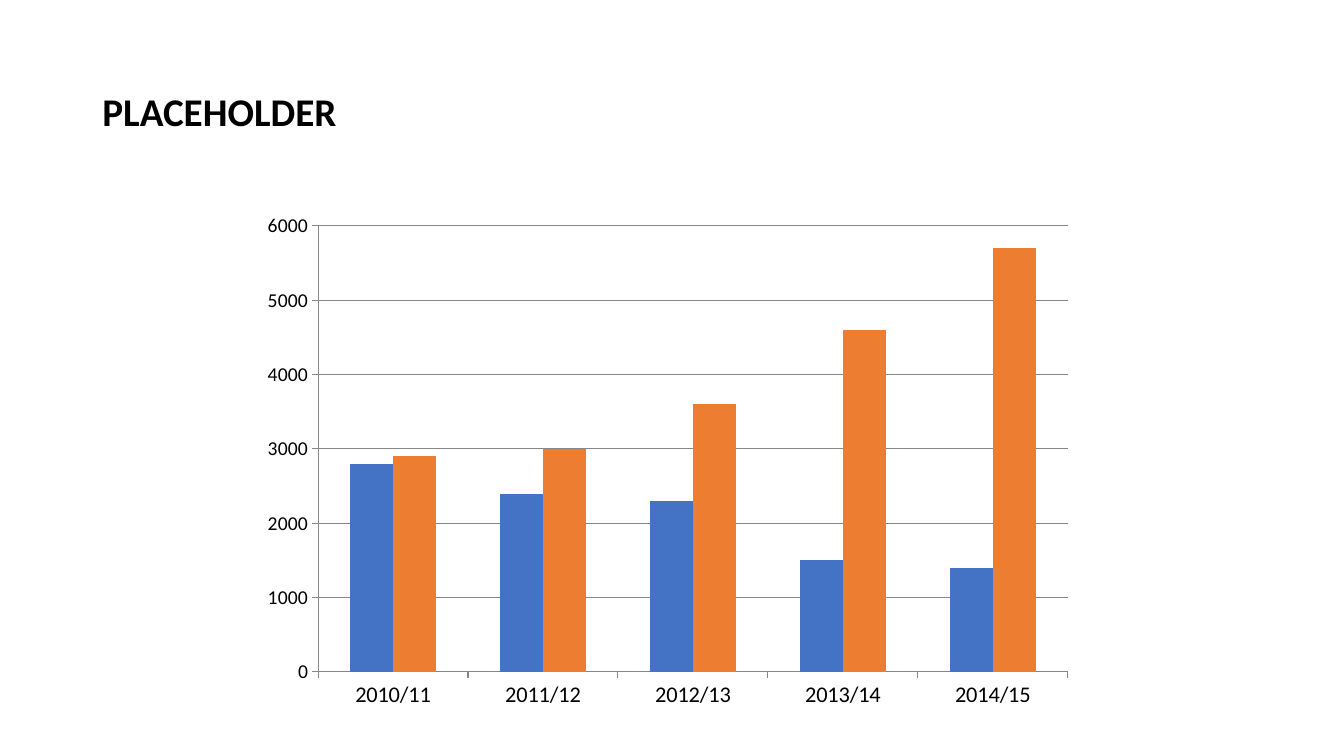
import pptx
import pptx.chart.data
import pptx.dml.color
import pptx.enum.chart
import pptx.enum.text
import pptx.util

Pt = pptx.util.Pt
RGBColor = pptx.dml.color.RGBColor

BLACK = RGBColor(0x00, 0x00, 0x00)
WHITE = RGBColor(0xFF, 0xFF, 0xFF)
GRAY = RGBColor(0x87, 0x87, 0x87)
BLUE = RGBColor(0x44, 0x72, 0xC4)
ORANGE = RGBColor(0xED, 0x7D, 0x31)
FONT = "Calibri"

TITLE = "PLACEHOLDER"
YEARS = ["2010/11", "2011/12", "2012/13", "2013/14", "2014/15"]
SERIES = [
    ("Series 1", BLUE, [2800, 2400, 2300, 1500, 1400]),
    ("Series 2", ORANGE, [2900, 3000, 3600, 4600, 5700]),
]
TITLE_BOX = (Pt(66), Pt(28.75), Pt(828), Pt(104.4))
CHART_BOX = (Pt(179.3), Pt(145.4), Pt(595.4), Pt(368.6))


def format_font(font, size, bold=False, color=BLACK):
    """Apply the slide's typeface with a size, weight and colour."""
    font.name = FONT
    font.size = Pt(size)
    font.bold = bold
    font.color.rgb = color


def write_text(shape, text, size, bold=False, color=BLACK, line_spacing=0.9):
    """Write one left-aligned, vertically centred paragraph into a shape."""
    frame = shape.text_frame
    frame.word_wrap = True
    frame.vertical_anchor = pptx.enum.text.MSO_ANCHOR.MIDDLE
    paragraph = frame.paragraphs[0]
    paragraph.alignment = pptx.enum.text.PP_ALIGN.LEFT
    paragraph.line_spacing = line_spacing
    run = paragraph.add_run()
    run.text = text
    format_font(run.font, size, bold, color)


def format_line(line):
    """Give an axis or gridline its thin gray stroke."""
    line.color.rgb = GRAY
    line.width = Pt(0.75)


def format_axis(axis, size, gridlines):
    """Set the labels, ticks and lines of a chart axis."""
    format_font(axis.tick_labels.font, size)
    axis.major_tick_mark = pptx.enum.chart.XL_TICK_MARK.OUTSIDE
    axis.minor_tick_mark = pptx.enum.chart.XL_TICK_MARK.NONE
    axis.has_major_gridlines = gridlines
    format_line(axis.format.line)
    if gridlines:
        format_line(axis.major_gridlines.format.line)


def add_column_chart(slide):
    """Add the clustered columns that compare both series by year."""
    data = pptx.chart.data.CategoryChartData()
    data.categories = YEARS
    for name, _, values in SERIES:
        data.add_series(name, values)
    chart_type = pptx.enum.chart.XL_CHART_TYPE.COLUMN_CLUSTERED
    chart = slide.shapes.add_chart(chart_type, *CHART_BOX, data).chart
    chart.has_title = False
    chart.has_legend = False
    format_font(chart.font, 10)
    format_axis(chart.category_axis, 16, gridlines=False)
    format_axis(chart.value_axis, 14, gridlines=True)
    chart.value_axis.minimum_scale = 0
    chart.value_axis.maximum_scale = 6000
    chart.value_axis.major_unit = 1000

    plot = chart.plots[0]
    plot.gap_width = 150
    plot.overlap = 0
    plot.vary_by_categories = False
    for series, (_, color, _) in zip(plot.series, SERIES):
        series.format.fill.solid()
        series.format.fill.fore_color.rgb = color


presentation = pptx.Presentation()
presentation.slide_width = Pt(960)
presentation.slide_height = Pt(540)
slide = presentation.slides.add_slide(presentation.slide_layouts.get_by_name("Title Only"))
slide.background.fill.solid()
slide.background.fill.fore_color.rgb = WHITE

title = slide.shapes.title
title.left, title.top, title.width, title.height = TITLE_BOX
write_text(title, TITLE, 28, bold=True)
add_column_chart(slide)

presentation.save("out.pptx")
